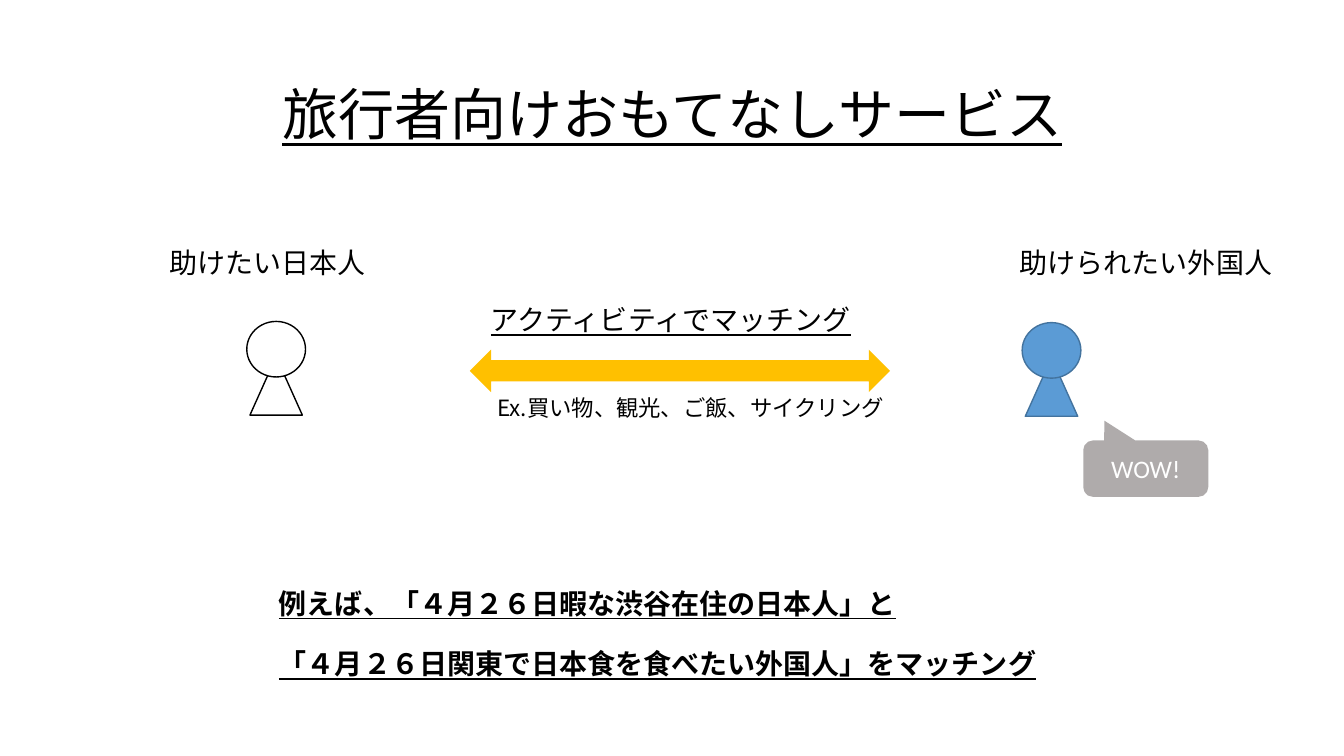
from lxml import etree
from pptx import Presentation
from pptx.dml.color import RGBColor
from pptx.enum.shapes import MSO_SHAPE
from pptx.enum.text import MSO_ANCHOR, PP_ALIGN
from pptx.oxml.ns import qn
from pptx.util import Cm, Pt

TRIANGLE = MSO_SHAPE.ISOSCELES_TRIANGLE
OVAL = MSO_SHAPE.OVAL
ARROW = MSO_SHAPE.LEFT_RIGHT_ARROW
CALLOUT = MSO_SHAPE.ROUNDED_RECTANGULAR_CALLOUT
MIDDLE = MSO_ANCHOR.MIDDLE
LEFT, CENTER = PP_ALIGN.LEFT, PP_ALIGN.CENTER

JAPANESE, LATIN = "Noto Sans CJK JP", "Calibri"
COLORS = {
    "text": "000000",
    "white": "FFFFFF",
    "blue": "5B9BD5",
    "blue_line": "43739E",
    "arrow": "FFC000",
    "callout": "AFABAB",
}


def color(name):
    return RGBColor.from_string(COLORS[name])


def write(shape, lines, size, font=JAPANESE, ink="text", align=LEFT,
          bold=False, underline=False, gap=0):
    """Fill a shape with one paragraph per line, centred vertically."""
    frame = shape.text_frame
    frame.word_wrap = True
    frame.vertical_anchor = MIDDLE
    for index, line in enumerate(lines):
        paragraph = frame.add_paragraph() if index else frame.paragraphs[0]
        paragraph.alignment = align
        paragraph.space_before = Pt(gap if index else 0)
        run = paragraph.add_run()
        run.text = line
        run.font.name = font
        run.font.size = Pt(size)
        run.font.bold = bold
        run.font.underline = underline
        run.font.color.rgb = color(ink)
        east_asian = etree.SubElement(run.font._element, qn("a:ea"))
        east_asian.set("typeface", font)


def add_text(slide, left, top, width, height, lines, size, **style):
    box = slide.shapes.add_textbox(Cm(left), Cm(top), Cm(width), Cm(height))
    write(box, lines, size, **style)


def add_shape(slide, kind, left, top, width, height, fill, line=None):
    shape = slide.shapes.add_shape(kind, Cm(left), Cm(top), Cm(width), Cm(height))
    shape.shadow.inherit = False
    shape.fill.solid()
    shape.fill.fore_color.rgb = color(fill)
    if line:
        shape.line.color.rgb = color(line)
        shape.line.width = Pt(1)
    else:
        shape.line.fill.background()
    return shape


def add_person(slide, left, top, label, label_left, fill, line):
    """Label above a figure made of a body and a head."""
    add_text(slide, label_left, 6.05, 8, 1.12, [label], 20)
    add_shape(slide, TRIANGLE, left + 0.08, top + 0.89, 1.32, 1.47, fill, line)
    add_shape(slide, OVAL, left, top, 1.48, 1.4, fill, line)


def add_matching(slide, left, top):
    """Double arrow with its heading and examples."""
    add_text(slide, left + 0.28, top, 10.11, 1.12,
             ["アクティビティでマッチング"], 20, underline=True)
    add_shape(slide, ARROW, left, top + 1.32, 10.59, 1.07, "arrow")
    add_text(slide, left + 0.45, top + 2.31, 10.9, 0.94,
             ["Ex.買い物、観光、ご飯、サイクリング"], 16)


def add_callout(slide, left, top):
    callout = add_shape(slide, CALLOUT, left, top, 3.15, 1.42, "callout")
    for index, value in enumerate((-0.33, -0.85, 0.17)):
        callout.adjustments[index] = value
    write(callout, ["WOW!"], 18, font=LATIN, ink="white", align=CENTER)


def main():
    presentation = Presentation()
    presentation.slide_width, presentation.slide_height = Cm(33.87), Cm(19.05)
    slide = presentation.slides.add_slide(presentation.slide_layouts[6])

    # Title
    add_text(slide, 2.34, 1.02, 29.21, 3.68, ["旅行者向けおもてなしサービス"], 40,
             align=CENTER, underline=True)

    # Both sides and the match between them
    add_person(slide, 6.22, 8.1, "助けたい日本人", 4.01, "white", "text")
    add_person(slide, 25.76, 8.13, "助けられたい外国人", 25.45, "blue", "blue_line")
    add_matching(slide, 11.84, 7.49)
    add_callout(slide, 27.3, 11.1)

    # Example
    add_text(slide, 6.78, 14.55, 20.5, 2.82,
             ["例えば、「４月２６日暇な渋谷在住の日本人」と",
              "「４月２６日関東で日本食を食べたい外国人」をマッチング"],
             20, bold=True, underline=True, gap=19)

    presentation.save("out.pptx")


if __name__ == "__main__":
    main()
